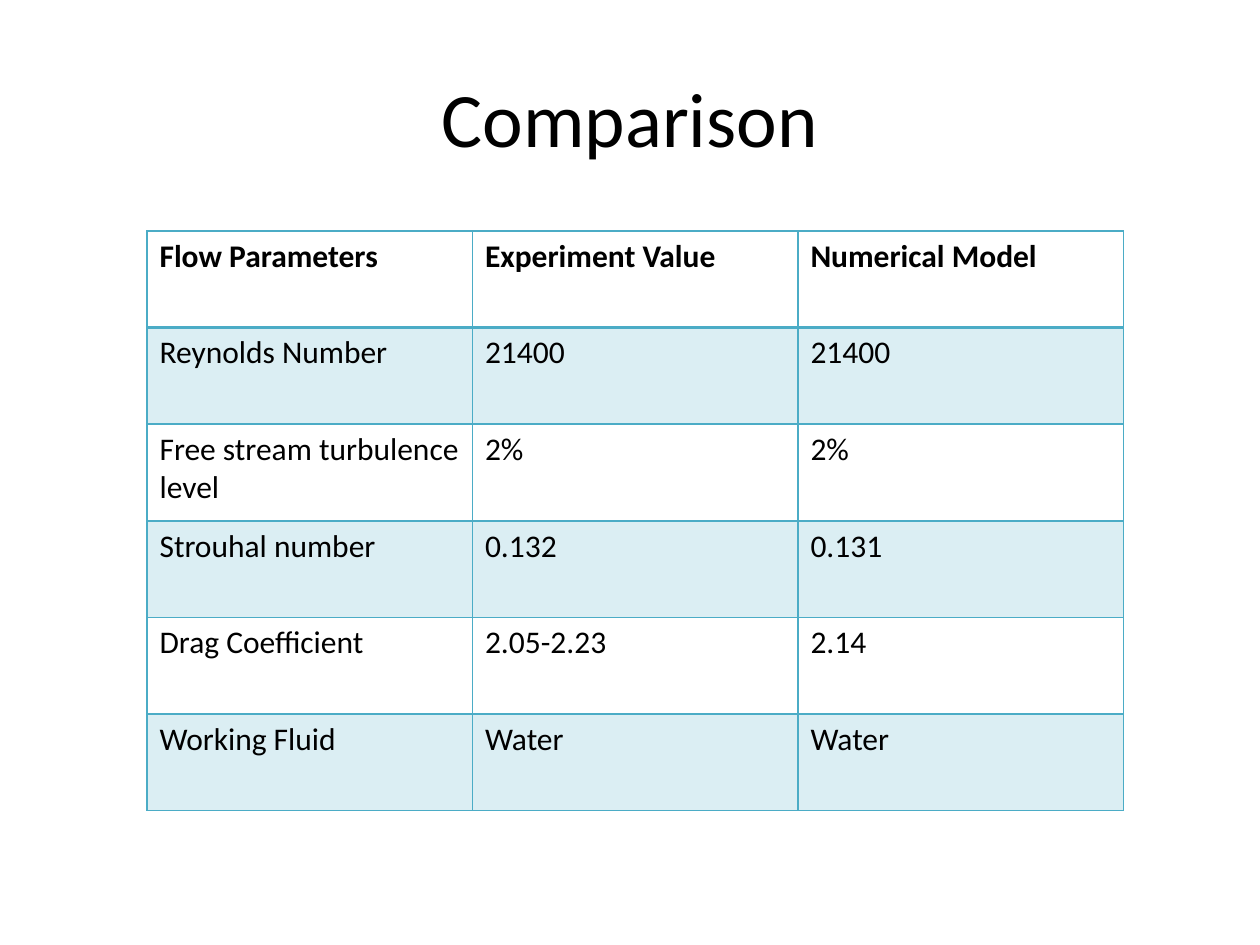
from lxml.etree import SubElement
from pptx import Presentation
from pptx.dml.color import RGBColor
from pptx.enum.text import MSO_ANCHOR as Anchor, PP_ALIGN as Align
from pptx.oxml.ns import qn
from pptx.util import Pt

TITLE = "Comparison"
HEADER = ("Flow Parameters", "Experiment Value", "Numerical Model")
PARAMETERS = [
    ("Reynolds Number", "21400", "21400"),
    ("Free stream turbulence level", "2%", "2%"),
    ("Strouhal number", "0.132", "0.131"),
    ("Drag Coefficient", "2.05-2.23", "2.14"),
    ("Working Fluid", "Water", "Water"),
]
FONT, INK, TEAL = "Calibri", "000000", "4BACC6"
BAND_OPACITY = 20
LEFT, TOP, COLUMN_WIDTH, ROW_HEIGHT = 84, 132, 186, 55.2


def color(hex_string):
    """Turn a hex string into a colour."""
    return RGBColor.from_string(hex_string)


def write(frame, text, size, bold=False, align=Align.LEFT):
    """Put one styled paragraph in a text frame."""
    frame.word_wrap = True
    paragraph = frame.paragraphs[0]
    paragraph.text = text
    paragraph.alignment = align
    font = paragraph.font
    font.name, font.size, font.bold = FONT, Pt(size), bold
    font.color.rgb = color(INK)


def set_border(cell, side, width):
    """Draw one side (L, R, T or B) of a cell."""
    line = SubElement(cell._tc.get_or_add_tcPr(), qn(f"a:ln{side}"), w=str(Pt(width)))
    fill = SubElement(line, qn("a:solidFill"))
    SubElement(fill, qn("a:srgbClr"), val=TEAL)


def set_band(cell, banded):
    """Tint a banded cell, or leave it clear."""
    if not banded:
        cell.fill.background()
        return
    cell.fill.solid()
    cell.fill.fore_color.rgb = color(TEAL)
    tint = cell._tc.tcPr.find(".//" + qn("a:solidFill") + "[last()]")
    tint = cell._tc.tcPr.find(qn("a:solidFill")).find(qn("a:srgbClr"))
    SubElement(tint, qn("a:alpha"), val=str(BAND_OPACITY * 1000))


def add_title(slide):
    """Add the centred heading."""
    frame = slide.shapes.add_textbox(Pt(36), Pt(21.6), Pt(648), Pt(90)).text_frame
    frame.vertical_anchor = Anchor.MIDDLE
    write(frame, TITLE, 44, align=Align.CENTER)


def add_comparison(slide):
    """Add the table, with a heavier rule below its header."""
    rows = [HEADER, *PARAMETERS]
    table = slide.shapes.add_table(
        len(rows), len(HEADER), Pt(LEFT), Pt(TOP),
        Pt(COLUMN_WIDTH * len(HEADER)), Pt(ROW_HEIGHT * len(rows))).table
    table.first_row = table.horz_banding = False
    for r, values in enumerate(rows):
        for c, value in enumerate(values):
            cell = table.cell(r, c)
            write(cell.text_frame, value, 18, bold=r == 0)
            widths = {"L": 1, "R": 1, "T": 2 if r == 1 else 1, "B": 2 if r == 0 else 1}
            for side, width in widths.items():
                set_border(cell, side, width)
            set_band(cell, r % 2 == 1)


deck = Presentation()
deck.slide_width, deck.slide_height = Pt(720), Pt(540)
comparison = deck.slides.add_slide(deck.slide_layouts[6])
add_title(comparison)
add_comparison(comparison)
deck.save("out.pptx")
